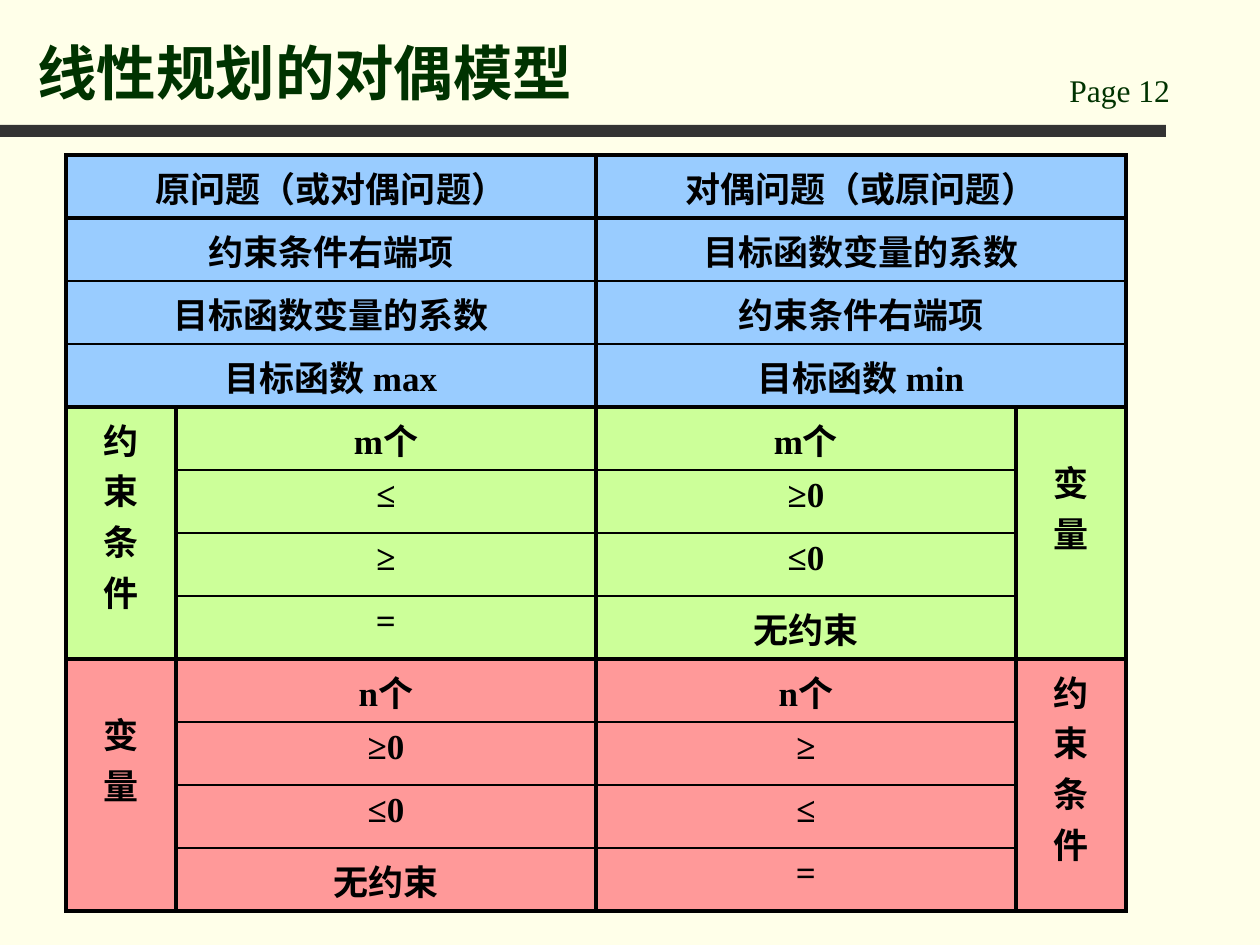
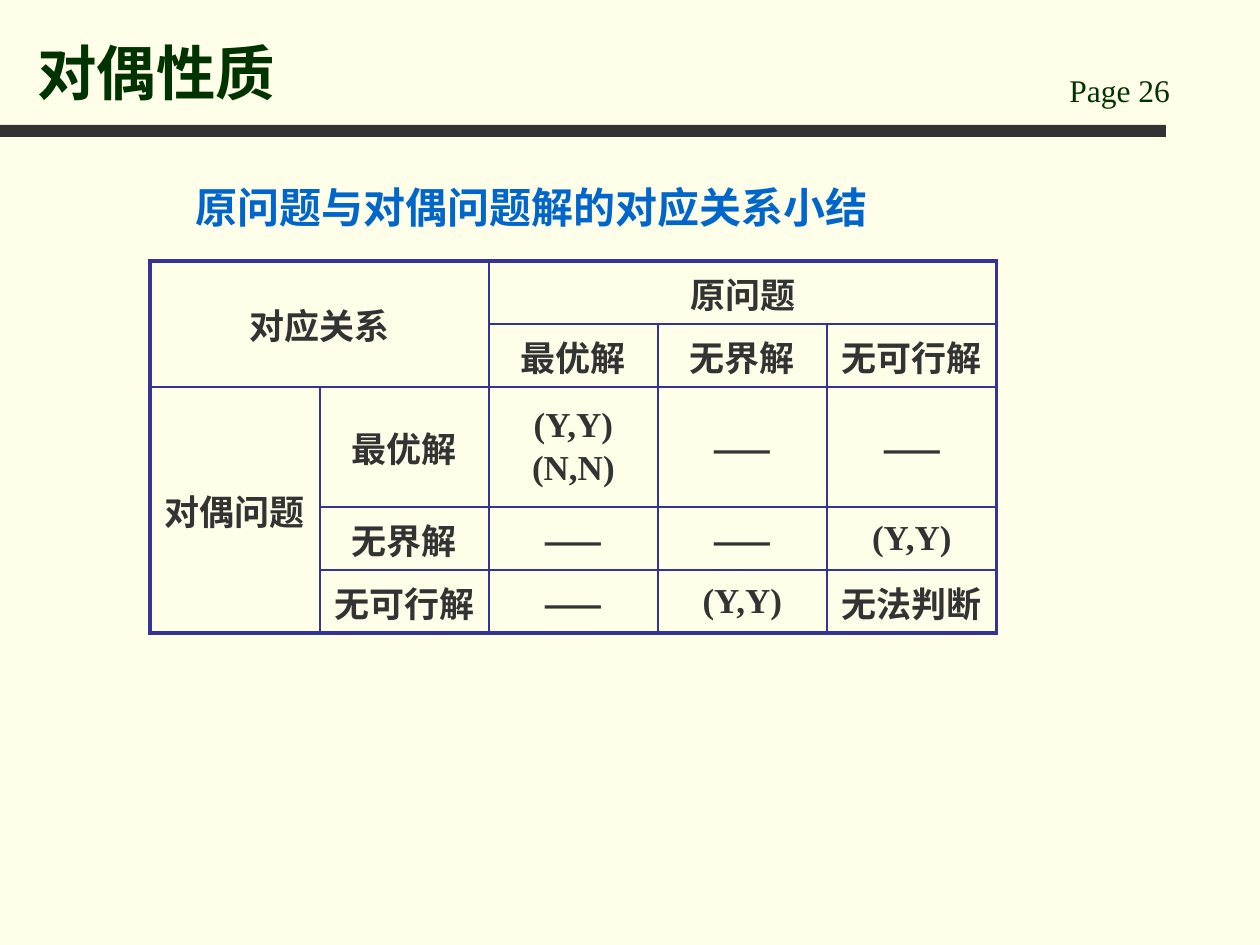
from lxml.etree import SubElement
from pptx import Presentation
from pptx.dml.color import RGBColor
from pptx.enum.lang import MSO_LANGUAGE_ID
from pptx.enum.shapes import MSO_SHAPE
from pptx.enum.text import MSO_ANCHOR, PP_ALIGN
from pptx.oxml.ns import qn
from pptx.util import Inches, Pt

SCALE = Inches(1) / 126
LATIN, CHINESE = "Times New Roman", "Noto Sans CJK SC"
COLORS = {
    "paper": "FFFFE9", "bar": "333333", "title": "003300", "heading": "0066CC",
    "black": "000000", "gray": "333333", "grid": "333399",
    "blue": "99CCFF", "green": "CCFF99", "red": "FF9999",
}
DASH = "——"


def px(length):
    return round(length * SCALE)


def color(name):
    return RGBColor.from_string(COLORS[name])


def write(text_frame, text, size=20, ink="black", bold=True, align=PP_ALIGN.LEFT,
          gap=0, font=LATIN):
    """Write one paragraph for each line of the text, with a gap in points between."""
    for index, line in enumerate(text.split("\n")):
        paragraph = text_frame.add_paragraph() if index else text_frame.paragraphs[0]
        paragraph.alignment = align
        paragraph.space_before = Pt(gap if index else 0)
        run = paragraph.add_run()
        run.text = line
        run.font.name = font
        run.font.size = Pt(size)
        run.font.bold = bold
        run.font.color.rgb = color(ink)
        run.font.language_id = MSO_LANGUAGE_ID.SIMPLIFIED_CHINESE
        latin = run.font._element.find(qn("a:latin"))
        east_asian = SubElement(run.font._element, qn("a:ea"), typeface=CHINESE)
        latin.addnext(east_asian)


def add_text(slide, box, text, anchor=MSO_ANCHOR.TOP, **text_format):
    shape = slide.shapes.add_textbox(*map(px, box))
    shape.text_frame.word_wrap = True
    shape.text_frame.vertical_anchor = anchor
    write(shape.text_frame, text, **text_format)


def add_framed_slide(presentation, title, page):
    """Blank slide with the title, page number and bar."""
    slide = presentation.slides.add_slide(presentation.slide_layouts[6])
    bar = slide.shapes.add_shape(MSO_SHAPE.RECTANGLE, *map(px, (0, 125, 1166, 12)))
    bar.shadow.inherit = False
    bar.fill.solid()
    bar.fill.fore_color.rgb = color("bar")
    bar.line.fill.background()
    add_text(slide, (1057, 65, 179, 50), f"Page {page}", size=18, ink="title", bold=False)
    add_text(slide, (25, 16, 1012, 98), title, MSO_ANCHOR.BOTTOM, size=34, ink="title")
    return slide


def set_borders(cell, ink, weights):
    properties = cell._tc.get_or_add_tcPr()
    for side, weight in zip("LRTB", weights):
        line = SubElement(properties, qn(f"a:ln{side}"), w=str(Pt(weight)))
        fill = SubElement(line, qn("a:solidFill"))
        SubElement(fill, qn("a:srgbClr"), val=COLORS[ink])


def merge_cells(first, last):
    """Merge a block; its first cell takes the right and bottom weights of the last."""
    first.merge(last)
    for side in "RB":
        first_line, last_line = (cell._tc.get_or_add_tcPr().find(qn(f"a:ln{side}"))
                                 for cell in (first, last))
        first_line.set("w", last_line.get("w"))


def add_grid(slide, origin, widths, heights, ink, heavy_columns, heavy_rows, row_fills):
    """Empty table whose heavy grid lines are given by their index."""
    left, top = origin
    frame = slide.shapes.add_table(len(heights), len(widths), px(left), px(top),
                                   px(sum(widths)), px(sum(heights)))
    table = frame.table
    table.first_row = table.horz_banding = False
    for column, width in zip(table.columns, widths):
        column.width = px(width)
    for r, (row, height) in enumerate(zip(table.rows, heights)):
        row.height = px(height)
        for c, cell in enumerate(row.cells):
            weights = [2.25 if line in heavy else 1
                       for first, heavy in ((c, heavy_columns), (r, heavy_rows))
                       for line in (first, first + 1)]
            set_borders(cell, ink, weights)
            if row_fills:
                cell.fill.solid()
                cell.fill.fore_color.rgb = color(row_fills[r])
            else:
                cell.fill.background()
    return table


def fill_cell(table, row, column, text, rows=1, columns=1, anchor=MSO_ANCHOR.TOP, **text_format):
    cell = table.cell(row, column)
    if rows * columns > 1:
        merge_cells(cell, table.cell(row + rows - 1, column + columns - 1))
    cell.vertical_anchor = anchor
    write(cell.text_frame, text, align=PP_ALIGN.CENTER, **text_format)
    return cell


def add_model_table(slide, origin):
    table = add_grid(slide, origin, [110, 420, 420, 110], [63] * 12, "black",
                     range(5), (0, 1, 4, 8, 12),
                     ["blue"] * 4 + ["green"] * 4 + ["red"] * 4)
    # Headings across each half
    headings = [
        ("原问题（或对偶问题）", "对偶问题（或原问题）"),
        ("约束条件右端项", "目标函数变量的系数"),
        ("目标函数变量的系数", "约束条件右端项"),
        ("目标函数 max", "目标函数 min"),
    ]
    for row, pair in enumerate(headings):
        for half, text in enumerate(pair):
            fill_cell(table, row, 2 * half, text, columns=2)
    # Matching conditions
    conditions = [
        ("m个", "m个"), ("≤", "≥0"), ("≥", "≤0"), ("=", "无约束"),
        ("n个", "n个"), ("≥0", "≥"), ("≤0", "≤"), ("无约束", "="),
    ]
    for row, pair in enumerate(conditions, 4):
        for column, text in enumerate(pair, 1):
            fill_cell(table, row, column, text)
    # Vertical labels at both sides
    for row, constraint_column, variable_column in ((4, 0, 3), (8, 3, 0)):
        fill_cell(table, row, constraint_column, "约\n束\n条\n件", rows=4)
        variable = fill_cell(table, row, variable_column, "变\n量", rows=4)
        variable.margin_top = px(49)


def add_relation_table(slide, origin):
    table = add_grid(slide, origin, [170, 169, 169, 169, 170], [63, 63, 120, 63, 63],
                     "grid", (0, 5), (0, 5), None)
    style = {"anchor": MSO_ANCHOR.MIDDLE, "ink": "gray", "gap": 2}
    # Merged headings
    fill_cell(table, 0, 0, "对应关系", rows=2, columns=2, **style)
    fill_cell(table, 0, 2, "原问题", columns=3, **style)
    fill_cell(table, 2, 0, "对偶问题", rows=3, **style)
    # Kinds of solution and their matches
    kinds = ("最优解", "无界解", "无可行解")
    matches = [
        ("(Y,Y)\n(N,N)", DASH, DASH),
        (DASH, DASH, "(Y,Y)"),
        (DASH, "(Y,Y)", "无法判断"),
    ]
    for index, (kind, results) in enumerate(zip(kinds, matches), 2):
        fill_cell(table, 1, index, kind, **style)
        fill_cell(table, index, 1, kind, **style)
        for column, text in enumerate(results, 2):
            font = CHINESE if text == DASH else LATIN
            fill_cell(table, index, column, text, font=font, **style)


def main():
    presentation = Presentation()
    presentation.slide_width, presentation.slide_height = px(1260), px(945)
    background = presentation.slide_master.background.fill
    background.solid()
    background.fore_color.rgb = color("paper")

    model = add_framed_slide(presentation, "线性规划的对偶模型", 12)
    add_model_table(model, (66, 155))

    relation = add_framed_slide(presentation, "对偶性质", 26)
    add_text(relation, (183, 175, 903, 79), "原问题与对偶问题解的对应关系小结",
             size=24, ink="heading")
    add_relation_table(relation, (150, 261))
    presentation.save("out.pptx")


if __name__ == "__main__":
    main()
